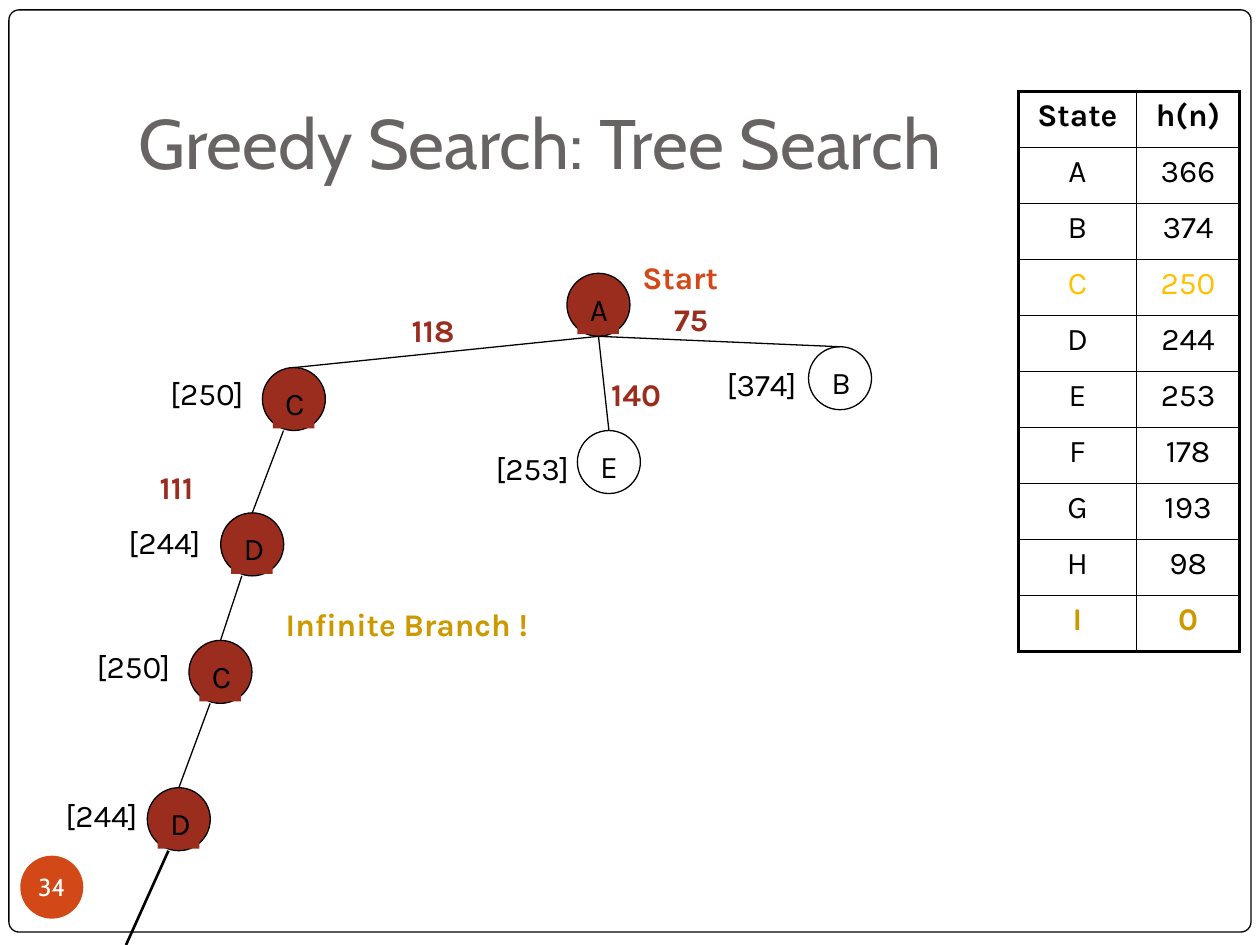
from dataclasses import dataclass

from lxml.etree import SubElement
from pptx import Presentation
from pptx.dml.color import RGBColor
from pptx.enum.shapes import MSO_CONNECTOR, MSO_SHAPE
from pptx.enum.text import MSO_ANCHOR, MSO_AUTO_SIZE, PP_ALIGN
from pptx.oxml import parse_xml
from pptx.oxml.ns import nsdecls, qn
from pptx.util import Cm, Pt

BLACK, WHITE = "000000", "FFFFFF"
RUST, ORANGE, GOLD, AMBER, GRAY = "9B2D1F", "D34817", "CC9900", "FFC000", "696464"
NODE_SIZE = 1.27
LABEL_INSET = 0.21
LINE_HEIGHT = 1.02


def rgb(color):
    return RGBColor.from_string(color)


def box(left, top, width, height):
    return Cm(left), Cm(top), Cm(width), Cm(height)


@dataclass
class Node:
    letter: str
    left: float
    top: float
    visited: bool = True
    estimate: str = ""
    offset: tuple = (0, 0)

    @property
    def top_center(self):
        return self.left + NODE_SIZE / 2, self.top

    def exit_point(self, shift=0):
        """Bottom centre of the node, moved sideways by shift."""
        return self.left + NODE_SIZE / 2 + shift, self.top + NODE_SIZE


class SlideBuilder:
    body_font = "Karla"
    heading_font = "Cabin"
    body_size = 18

    def __init__(self, slide):
        self.slide = slide

    def format(self, paragraph, color=BLACK, bold=False, size=body_size, name=body_font):
        font = paragraph.font
        font.name, font.size, font.bold = name, Pt(size), bold
        font.color.rgb = rgb(color)

    def title(self, text, *position):
        title = self.slide.shapes.title
        title.left, title.top, title.width, title.height = box(*position)
        frame = title.text_frame
        frame.text = text
        frame.auto_size = MSO_AUTO_SIZE.NONE
        frame.vertical_anchor = MSO_ANCHOR.BOTTOM
        frame.margin_bottom = Cm(0.25)
        paragraph = frame.paragraphs[0]
        paragraph.alignment = PP_ALIGN.LEFT
        self.format(paragraph, GRAY, size=40, name=self.heading_font)

    def shape(self, kind, position, fill=None, outlined=True, shapes=None):
        shape = (shapes or self.slide.shapes).add_shape(kind, *box(*position))
        shape.shadow.inherit = False
        if fill:
            shape.fill.solid()
            shape.fill.fore_color.rgb = rgb(fill)
        else:
            shape.fill.background()
        if outlined:
            shape.line.color.rgb = rgb(BLACK)
            shape.line.width = Pt(0.75)
        else:
            shape.line.fill.background()
        return shape

    def border(self, *position):
        frame = self.shape(MSO_SHAPE.ROUNDED_RECTANGLE, position, WHITE)
        frame.adjustments[0] = 0.011
        self.slide.shapes.title.element.addprevious(frame.element)

    def page_number(self, text, left, top):
        badge = self.shape(MSO_SHAPE.OVAL, (left, top, NODE_SIZE, NODE_SIZE), ORANGE, False)
        frame = badge.text_frame
        frame.text = text
        frame.margin_left = frame.margin_right = frame.margin_top = frame.margin_bottom = 0
        frame.vertical_anchor = MSO_ANCHOR.MIDDLE
        paragraph = frame.paragraphs[0]
        paragraph.alignment = PP_ALIGN.CENTER
        self.format(paragraph, WHITE, size=14, name=self.heading_font)

    def text(self, text, left, top, width, color=BLACK, bold=False, fill=None, shapes=None):
        text_box = (shapes or self.slide.shapes).add_textbox(*box(left, top, width, LINE_HEIGHT))
        if fill:
            text_box.fill.solid()
            text_box.fill.fore_color.rgb = rgb(fill)
        frame = text_box.text_frame
        frame.word_wrap = True
        frame.text = text
        self.format(frame.paragraphs[0], color, bold)

    def node(self, node):
        shapes = self.slide.shapes.add_group_shape().shapes
        fill = RUST if node.visited else None
        self.shape(MSO_SHAPE.OVAL, (node.left, node.top, NODE_SIZE, NODE_SIZE), fill, shapes=shapes)
        self.text(node.letter, node.left + LABEL_INSET, node.top + LABEL_INSET, 0.84,
                  fill=fill, shapes=shapes)
        if node.estimate:
            dx, dy = node.offset
            self.text(f"[{node.estimate}]", node.left + dx, node.top + dy, 2.34)

    def line(self, start, end, width=0.75):
        points = [Cm(value) for value in (*start, *end)]
        line = self.slide.shapes.add_connector(MSO_CONNECTOR.STRAIGHT, *points)
        line.line.color.rgb = rgb(BLACK)
        line.line.width = Pt(width)
        SubElement(line.element.spPr, qn("a:effectLst"))

    def cell_borders(self, cell, widths):
        properties = cell._tc.get_or_add_tcPr()
        for index, (side, width) in enumerate(zip("LRTB", widths)):
            properties.insert(index, parse_xml(
                f'<a:ln{side} {nsdecls("a")} w="{Pt(width)}"><a:solidFill>'
                f'<a:srgbClr val="{BLACK}"/></a:solidFill></a:ln{side}>'))

    def table(self, rows, left, top, column_widths, row_height, row_colors, bold_rows):
        last_row, last_column = len(rows) - 1, len(column_widths) - 1
        table = self.slide.shapes.add_table(
            len(rows), len(column_widths),
            *box(left, top, sum(column_widths), row_height * len(rows))).table
        for column, width in zip(table.columns, column_widths):
            column.width = Cm(width)
        for r, values in enumerate(rows):
            table.rows[r].height = Cm(row_height)
            for c, value in enumerate(values):
                cell = table.cell(r, c)
                cell.text = value
                cell.fill.background()
                paragraph = cell.text_frame.paragraphs[0]
                paragraph.alignment = PP_ALIGN.CENTER
                self.format(paragraph, row_colors.get(r, BLACK), r in bold_rows)
                outer = (c == 0, c == last_column, r == 0, r == last_row)
                self.cell_borders(cell, [2.25 if edge else 1 for edge in outer])


def main():
    presentation = Presentation()
    presentation.slide_width, presentation.slide_height = Cm(25.4), Cm(19.05)
    slide = presentation.slides.add_slide(presentation.slide_layouts[5])
    builder = SlideBuilder(slide)

    builder.border(0.18, 0.2, 25.04, 18.59)
    builder.title("Greedy Search: Tree Search", 2.54, 1.07, 21.59, 2.87)
    builder.page_number("34", 0.41, 17.25)

    root = Node("A", 11.43, 5.51)
    children = [
        Node("B", 16.3, 6.99, False, "374", (-1.9, 0.25)),
        Node("E", 11.64, 8.68, False, "253", (-1.9, 0.25)),
        Node("C", 5.29, 7.41, True, "250", (-2.11, 0)),
    ]
    branch = [
        children[-1],
        Node("D", 4.45, 10.34, True, "244", (-2.11, 0.08)),
        Node("C", 3.81, 12.91, True, "250", (-2.11, 0)),
        Node("D", 2.97, 15.88, True, "244", (-1.9, 0.05)),
    ]
    for node in [root, *children, *branch[1:]]:
        builder.node(node)
    for child in children:
        builder.line(root.exit_point(), child.top_center)
    for parent, child in zip(branch, branch[1:]):
        builder.line(parent.exit_point(-LABEL_INSET), child.top_center)
    builder.line(branch[-1].exit_point(-LABEL_INSET), (2.54, 19.05), 1.5)

    for text, left, top, width, color in [
        ("Start", 12.7, 5.08, 3.38, ORANGE),
        ("75", 13.34, 5.92, 1.7, RUST),
        ("118", 8.05, 6.15, 2.11, RUST),
        ("140", 12.07, 7.44, 2.11, RUST),
        ("111", 2.97, 9.32, 2.11, RUST),
        ("Infinite Branch !", 5.51, 12.07, 6.35, GOLD),
    ]:
        builder.text(text, left, top, width, color, bold=True)

    estimates = ["366", "374", "250", "244", "253", "178", "193", "98", "0"]
    builder.table([("State", "h(n)"), *zip("ABCDEFGHI", estimates)], 20.53, 1.84,
                  (2.38, 2.08), 1.13, {3: AMBER, 9: GOLD}, {0, 9})
    presentation.save("out.pptx")


if __name__ == "__main__":
    main()
